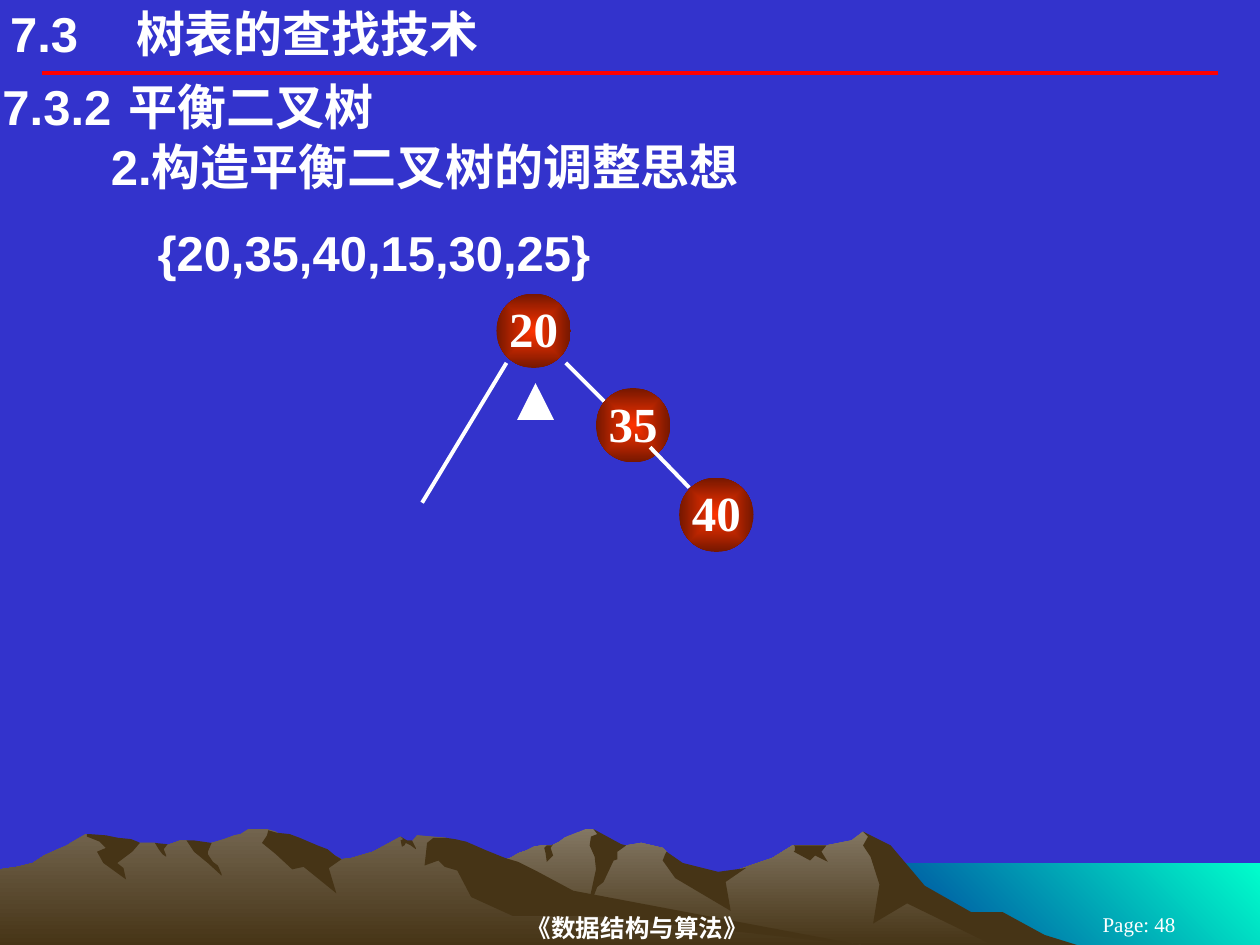
import pptx
import pptx.util
import pptx.dml.color
import pptx.enum.shapes
import pptx.enum.text
import pptx.oxml
import pptx.oxml.ns
from pptx.util import Inches

HEX = {"back": "3333CC", "text": "FFFFFF", "rule": "FF0000",
       "sea": "00FFCC", "deep": "003399", "rock": "837763",
       "hill": "72644E", "shade": "463416", "node": "FF3300", "rim": "751700"}
ANCHOR = pptx.enum.text.MSO_ANCHOR
ALIGN = pptx.enum.text.PP_ALIGN

# Outlines in hundredths of an inch: x,y pairs
SEA = "1000,750 683,750 683,685 1000,685"
ROCK = """802,740 778,727 764,723 723,698 702,671 685,660 676,667 656,671 629,671
613,681 566,697 536,690 529,676 526,673 509,669 497,671 486,673 474,661 471,658
465,658 450,664 448,665 444,668 438,671 430,671 424,672 418,675 412,677 405,681
399,683 394,685 355,698 327,709 277,739 258,751 821,751"""
HILL = """690,751 667,748 432,712 354,665 331,663 327,668 323,668 318,664 296,676
279,681 271,682 260,676 236,681 223,663 219,660 212,658 197,658 194,660 191,662
186,663 178,666 168,669 160,671 148,667 143,667 132,671 128,671 123,669 111,669
94,671 68,662 56,669 53,671 46,674 35,679 26,685 14,688 0,690 0,751"""
ROCK_SHADES = [
    """796,724 771,724 734,703 707,671 685,660 689,664 685,671 691,680 698,702
    693,733 720,717 792,752 858,751 829,742""",
    """471,658 474,662 469,664 468,671 472,680 473,690 465,727 474,704 479,700
    487,683 490,682 490,676 497,671 493,670""",
    "529,676 528,678 526,683 536,697 580,723 576,700 592,689 570,692 542,685",
    """650,671 630,671 631,672 631,675 630,676 643,683 647,679 657,684 652,676
    656,671""",
    "433,677 432,673 434,671 438,671 439,670 437,673 439,679 434,684",
]
HILL_SHADES = [
    """212,663 208,669 219,678 232,690 241,688 267,709 261,689 271,682 266,679
    260,674 252,671 238,665 230,662 220,661 213,659""",
    """370,668 361,666 354,665 344,665 339,669 337,687 348,683 353,688 363,691
    374,712 407,727 472,727 690,751 683,750 455,707 427,692 411,684 401,681
    386,675""",
    """318,667 320,666 318,664 323,667 327,667 330,673 330,674 326,671 322,669
    321,671 319,672""",
    """154,667 161,668 168,669 165,676 165,678 169,684 173,687 176,694 176,695
    165,685 154,676 148,667""",
    "133,670 130,674 132,679 132,680 129,678 126,674 123,669",
    """109,668 111,669 105,676 93,685 98,689 100,698 82,685 77,676 84,673 79,668
    69,664 69,662 71,662 84,663 94,665 104,666""",
]


def color(name):
    return pptx.dml.color.RGBColor.from_string(HEX[name])


def blend(fill, first, last, angle=0):
    fill.gradient()
    fill.gradient_angle = (360 - angle) % 360
    for stop, name in zip(fill.gradient_stops, (first, last)):
        stop.color.rgb = color(name)


def outline(slide, points):
    pairs = [tuple(map(int, pair.split(","))) for pair in points.split()]
    path = slide.shapes.build_freeform(*pairs[0], scale=Inches(0.01))
    path.add_line_segments(pairs[1:], close=True)
    shape = path.convert_to_shape()
    shape.shadow.inherit = False
    shape.line.fill.background()
    return shape


def add_line(slide, start, end, name="text", width=2.25):
    line = slide.shapes.add_connector(
        pptx.enum.shapes.MSO_CONNECTOR.STRAIGHT, *map(Inches, start + end))
    line.line.color.rgb = color(name)
    line.line.width = pptx.util.Pt(width)
    pptx.oxml.ns.qn("a:effectLst")
    props = line._element.spPr
    props.append(props.makeelement(pptx.oxml.ns.qn("a:effectLst"), {}))
    return line


def write(shape, text, size=28, font="Arial", bold=True, align=ALIGN.LEFT,
          anchor=ANCHOR.TOP, inset=(0.02, 0.01, 0.02, 0.01), wrap=True,
          indent=0, tab=0):
    frame = shape.text_frame
    frame.word_wrap = wrap
    frame.auto_size = pptx.enum.text.MSO_AUTO_SIZE.NONE
    frame.vertical_anchor = anchor
    (frame.margin_left, frame.margin_top,
     frame.margin_right, frame.margin_bottom) = map(Inches, inset)
    frame.text = text
    para = frame.paragraphs[0]
    para.alignment = align
    para.space_before = pptx.util.Pt(0)
    para.line_spacing = 1.0
    props = para._p.get_or_add_pPr()
    props.set("marL", str(Inches(indent)))
    props.set("indent", "0")
    if tab:
        qn = pptx.oxml.ns.qn
        tabs = props.makeelement(qn("a:tabLst"), {})
        tabs.append(tabs.makeelement(
            qn("a:tab"), {"pos": str(Inches(tab)), "algn": "l"}))
        props.append(tabs)
    para.font.size = pptx.util.Pt(size)
    para.font.name = font
    para.font.bold = bold
    para.font.color.rgb = color("text")


def add_text(slide, box, text, **style):
    write(slide.shapes.add_textbox(*map(Inches, box)), text, **style)


def add_scene(slide):
    blend(outline(slide, SEA).fill, "sea", "deep", 135)
    for ridge, tone, shades in ((ROCK, "rock", ROCK_SHADES),
                                (HILL, "hill", HILL_SHADES)):
        blend(outline(slide, ridge).fill, tone, "shade", 90)
        for points in shades:
            fill = outline(slide, points).fill
            fill.solid()
            fill.fore_color.rgb = color("shade")


def add_foot(slide):
    style = dict(font="Times New Roman", align=ALIGN.CENTER, anchor=ANCHOR.MIDDLE)
    add_text(slide, (2.03, 7.22, 6.06, 0.28), "《数据结构与算法》",
             size=14, inset=(0, 0.01, 0, 0.01), **style)
    add_text(slide, (8.25, 7.25, 1.58, 0.17), "Page: 48",
             size=12, bold=False, inset=(0.1, 0.05, 0.1, 0.05), **style)


def add_head(slide, box):
    title = slide.shapes.title
    title.left, title.top, title.width, title.height = map(Inches, box)
    write(title, "7.3\t树表的查找技术", inset=(0, 0, 0, 0), tab=0.84)
    add_line(slide, (0.33, 0.58), (9.67, 0.58), "rule")


def add_node(slide, left, top, text):
    side = Inches(0.59)
    node = slide.shapes.add_shape(pptx.enum.shapes.MSO_SHAPE.OVAL,
                                  Inches(left), Inches(top), side, side)
    node.shadow.inherit = False
    node.line.fill.background()
    blend(node.fill, "node", "rim")
    # Radiate the gradient from the centre
    grad = node._element.spPr.find(pptx.oxml.ns.qn("a:gradFill"))
    grad.remove(grad.find(pptx.oxml.ns.qn("a:lin")))
    grad.append(pptx.oxml.parse_xml(
        f'<a:path {pptx.oxml.ns.nsdecls("a")} path="rect"><a:fillToRect '
        'l="50000" t="50000" r="50000" b="50000"/></a:path>'))
    write(node, text, font="Times New Roman", align=ALIGN.CENTER,
          anchor=ANCHOR.MIDDLE, inset=(0.1, 0.01, 0.1, 0.05), wrap=False)


def add_tree(slide, left, top):
    def at(x, y):
        return left + x, top + y

    add_line(slide, at(1.14, 0.55), at(1.85, 1.26))
    add_node(slide, *at(0.59, 0), "20")
    add_node(slide, *at(1.38, 0.75), "35")
    add_line(slide, at(1.81, 1.22), at(2.12, 1.54))
    add_node(slide, *at(2.04, 1.46), "40")
    # Pointer below the root
    arrow = add_line(slide, at(0.9, 0.95), at(0.9, 0.71), width=7)
    arrow.line._get_or_add_ln().append(pptx.oxml.parse_xml(
        f'<a:tailEnd {pptx.oxml.ns.nsdecls("a")} type="triangle"/>'))
    add_line(slide, at(0.67, 0.55), at(0, 1.66))


def main():
    deck = pptx.Presentation()
    deck.slide_width, deck.slide_height = Inches(10), Inches(7.5)
    slide = deck.slides.add_slide(deck.slide_layouts[5])
    slide.background.fill.solid()
    slide.background.fill.fore_color.rgb = color("back")
    add_scene(slide)
    add_foot(slide)
    add_head(slide, (0.08, 0.03, 6.5, 0.47))
    add_text(slide, (0, 0.6, 10, 0.49), "7.3.2\t平衡二叉树", tab=1.26)
    add_text(slide, (0, 1.07, 9.96, 0.49), "2.构造平衡二叉树的调整思想", indent=0.86)
    add_tree(slide, 3.35, 2.33)
    add_text(slide, (0.04, 1.76, 9.96, 0.49), "{20,35,40,15,30,25}", indent=1.19)
    deck.save("out.pptx")


if __name__ == "__main__":
    main()
